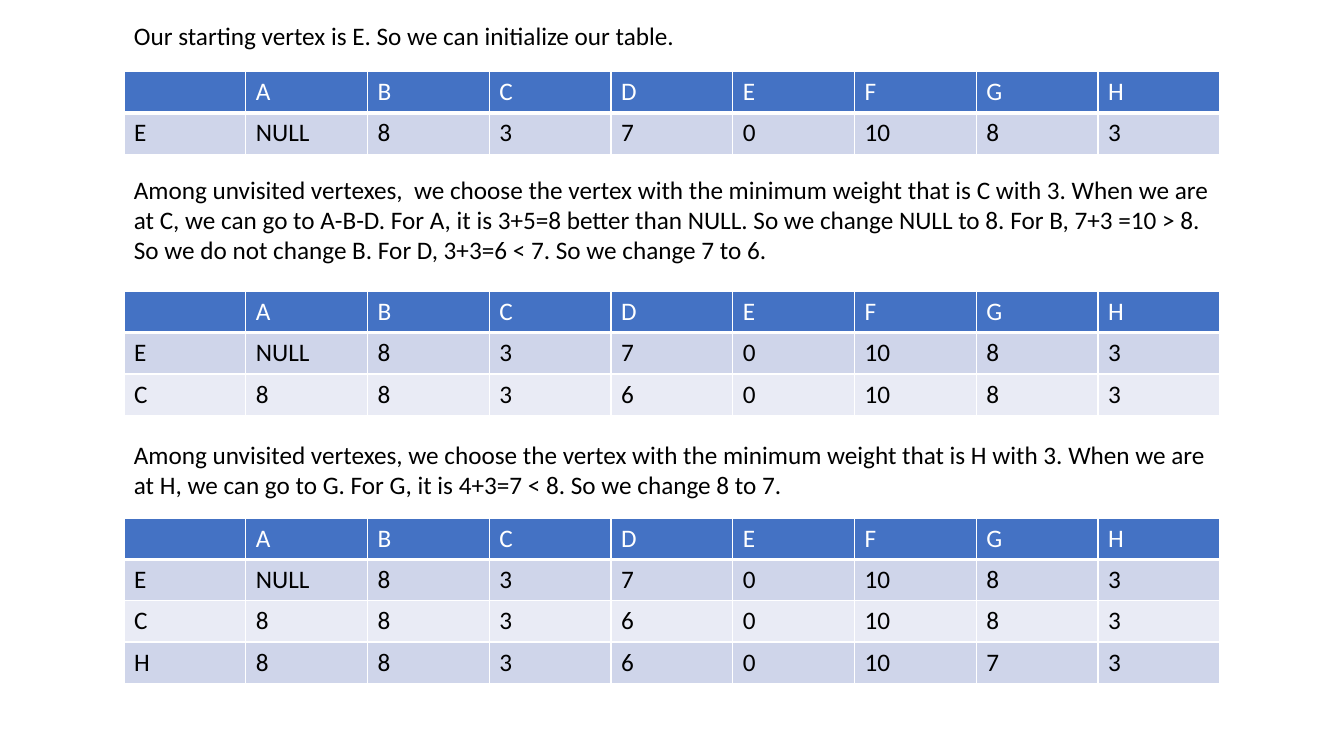
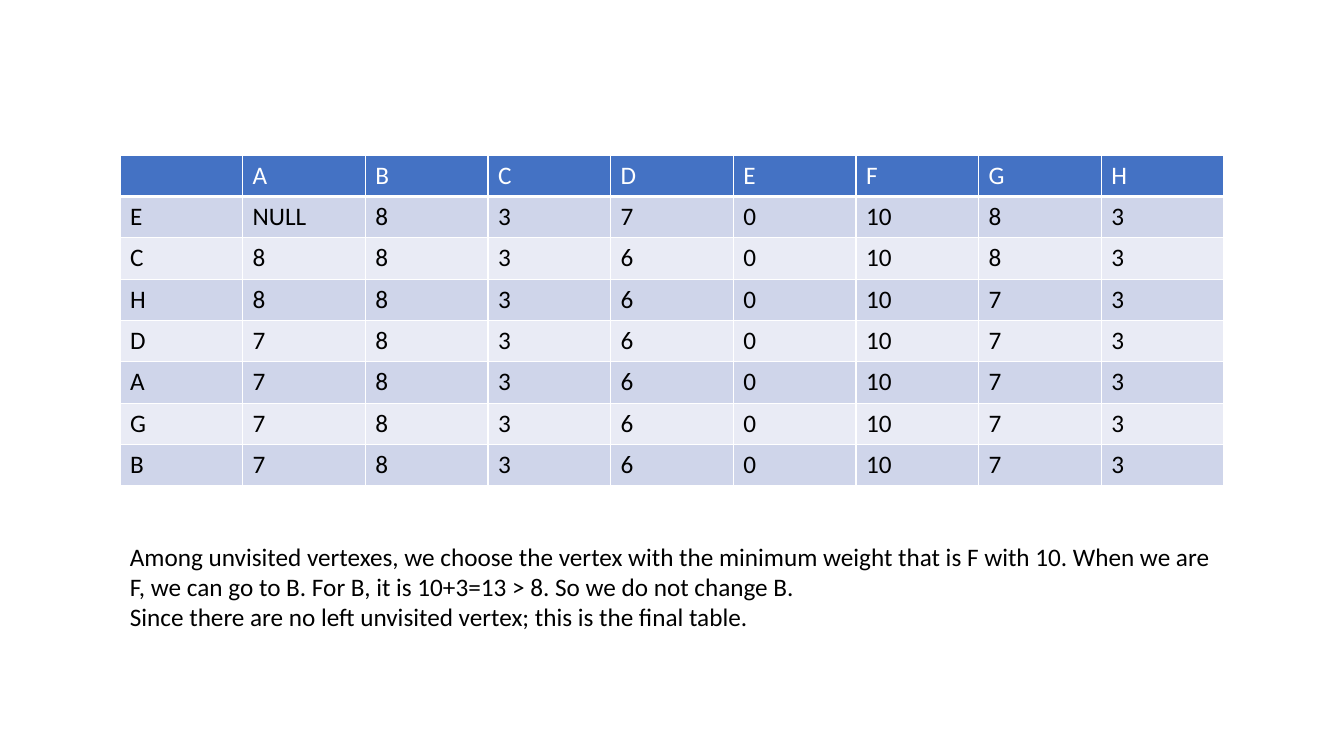
from lxml.etree import SubElement
from pptx import Presentation
from pptx.dml.color import RGBColor
from pptx.enum.text import MSO_AUTO_SIZE as AutoSize
from pptx.oxml.ns import qn
from pptx.util import Inches, Pt

COLORS = {
    "header": "4472C4",
    "odd_row": "CFD5EA",
    "even_row": "E9EBF5",
    "border": "FFFFFF",
    "header_text": "FFFFFF",
    "text": "000000",
}
FONT = "Calibri"
FONT_SIZE = 18
ROW_HEIGHT = 0.41
VERTICES = "ABCDEFGH"
STEPS = [
    ("E", ["NULL", 8, 3, 7, 0, 10, 8, 3]),
    ("C", [8, 8, 3, 6, 0, 10, 8, 3]),
    ("H", [8, 8, 3, 6, 0, 10, 7, 3]),
    *[(vertex, [7, 8, 3, 6, 0, 10, 7, 3]) for vertex in "DAGB"],
]


def format_text(text_frame, color):
    for paragraph in text_frame.paragraphs:
        for run in paragraph.runs:
            run.font.name = FONT
            run.font.size = Pt(FONT_SIZE)
            run.font.bold = False
            run.font.color.rgb = RGBColor.from_string(COLORS[color])


def add_explanation(slide, left, top, width, height, text):
    box = slide.shapes.add_textbox(Inches(left), Inches(top), Inches(width), Inches(height))
    frame = box.text_frame
    frame.word_wrap = True
    frame.auto_size = AutoSize.SHAPE_TO_FIT_TEXT
    frame.text = text
    format_text(frame, "text")


def add_borders(cell, bottom_width):
    properties = cell._tc.get_or_add_tcPr()
    for side, width in (("L", 1), ("R", 1), ("T", 1), ("B", bottom_width)):
        line = SubElement(properties, qn(f"a:ln{side}"), w=str(Pt(width)))
        fill = SubElement(line, qn("a:solidFill"))
        SubElement(fill, qn("a:srgbClr"), val=COLORS["border"])


def format_cell(cell, value, row_index):
    is_header = row_index == 0
    band = "odd_row" if row_index % 2 else "even_row"
    add_borders(cell, 3 if is_header else 1)
    cell.fill.solid()
    cell.fill.fore_color.rgb = RGBColor.from_string(COLORS["header" if is_header else band])
    cell.text_frame.text = str(value)
    format_text(cell.text_frame, "header_text" if is_header else "text")


def add_distance_table(slide, left, top, width, steps):
    rows = [["", *VERTICES]] + [[vertex, *distances] for vertex, distances in steps]
    column_count = len(rows[0])
    table = slide.shapes.add_table(
        len(rows), column_count, Inches(left), Inches(top),
        Inches(width), Inches(ROW_HEIGHT * len(rows)),
    ).table
    for column in table.columns:
        column.width = Inches(width / column_count)
    for row_index, values in enumerate(rows):
        table.rows[row_index].height = Inches(ROW_HEIGHT)
        for column_index, value in enumerate(values):
            format_cell(table.cell(row_index, column_index), value, row_index)


def add_first_steps(slide):
    left, width = 1.23, 10.87
    stages = [
        (0.15, 0.4, 0.71, "Our starting vertex is E. So we can initialize our table."),
        (1.68, 1.01, 2.89,
         "Among unvisited vertexes,  we choose the vertex with the minimum weight that is C "
         "with 3. When we are at C, we can go to A-B-D. For A, it is 3+5=8 better than NULL. "
         "So we change NULL to 8. For B, 7+3 =10 > 8. So we do not change B. "
         "For D, 3+3=6 < 7. So we change 7 to 6."),
        (4.31, 0.71, 5.14,
         "Among unvisited vertexes, we choose the vertex with the minimum weight that is H "
         "with 3. When we are at H, we can go to G. For G, it is 4+3=7 < 8. "
         "So we change 8 to 7."),
    ]
    for step_count, (text_top, text_height, table_top, text) in enumerate(stages, start=1):
        add_explanation(slide, left, text_top, width, text_height, text)
        add_distance_table(slide, left, table_top, width, STEPS[:step_count])


def add_final_step(slide):
    left, width = 1.19, 10.95
    add_distance_table(slide, left, 1.54, width, STEPS)
    add_explanation(
        slide, left, 5.32, width, 1.01,
        "Among unvisited vertexes, we choose the vertex with the minimum weight that is F "
        "with 10. When we are F, we can go to B. For B, it is 10+3=13 > 8. "
        "So we do not change B.\n"
        "Since there are no left unvisited vertex; this is the final table.",
    )


def main():
    presentation = Presentation()
    presentation.slide_width = Inches(13.33)
    presentation.slide_height = Inches(7.5)
    blank_layout = presentation.slide_layouts[6]
    for add_content in (add_first_steps, add_final_step):
        add_content(presentation.slides.add_slide(blank_layout))
    presentation.save("out.pptx")


if __name__ == "__main__":
    main()
